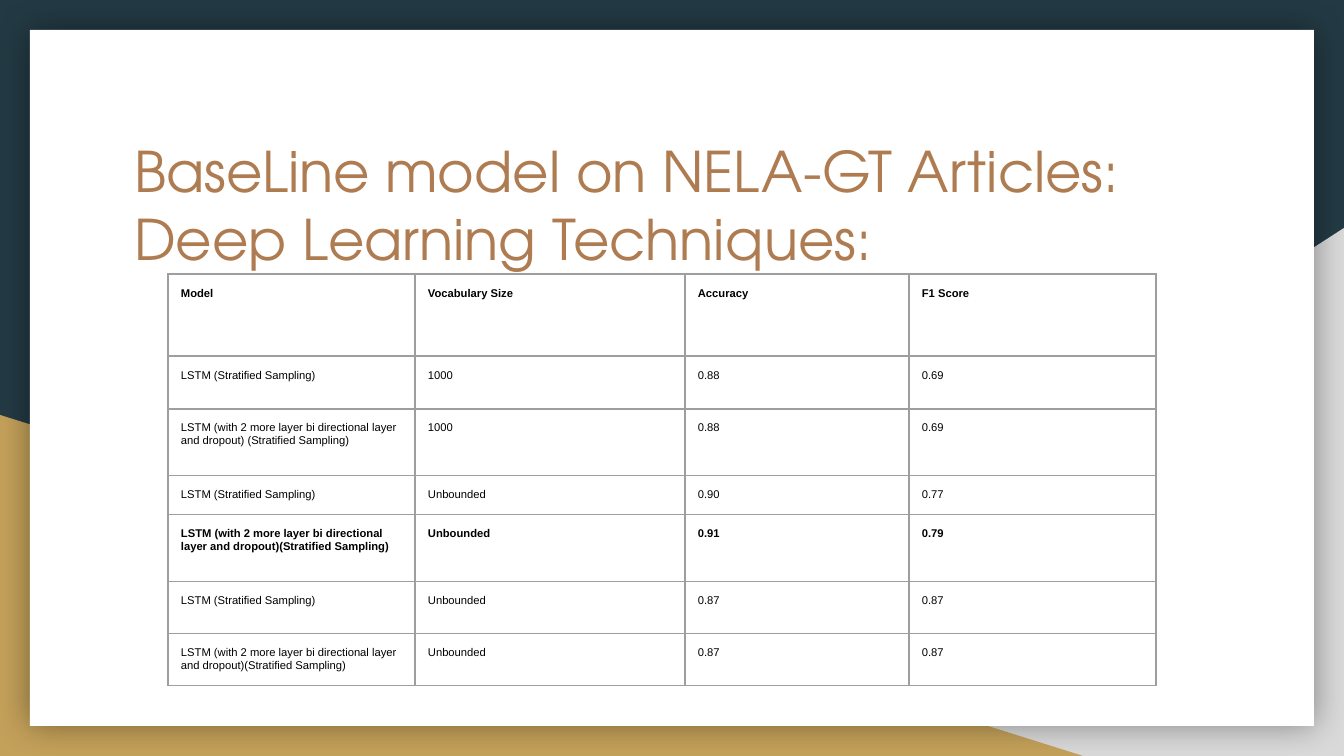
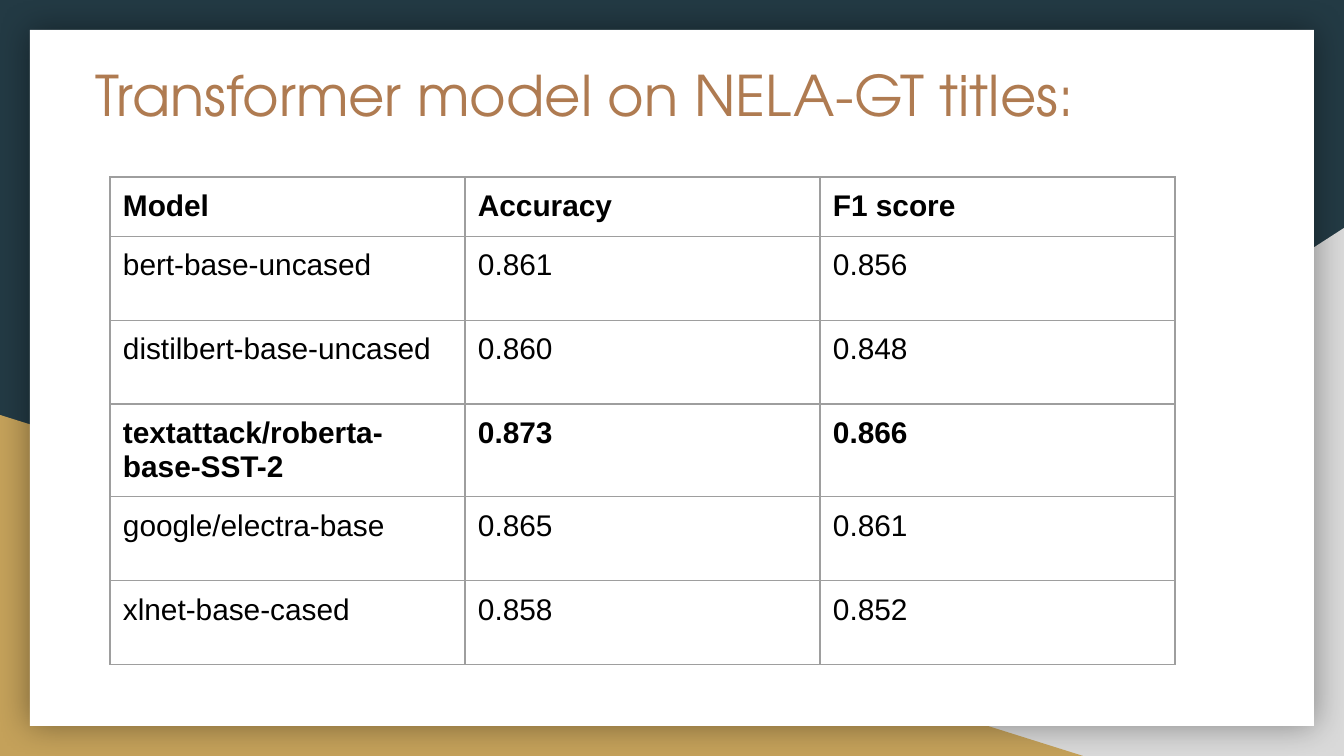
from lxml import etree
from pptx import Presentation
from pptx import util as u
from pptx.dml.color import RGBColor
from pptx.enum import shapes, text
from pptx.oxml import parse_xml
from pptx.oxml.ns import nsdecls, qn

PX = 9144000 / 1344
W, H = 1344, 756
MARGIN = 13
COLORS = {
    "navy": "233A44",
    "grey": "D9D9D9",
    "gold": "C4A15A",
    "paper": "FFFFFF",
    "title": "AF7B51",
    "ink": "000000",
    "border": "9E9E9E",
}
TITLE_FONT, BODY_FONT = "TeX Gyre Adventor", "Arial"

LSTM = "LSTM (Stratified Sampling)"
BI_LSTM = "LSTM (with 2 more layer bi directional layer and dropout)(Stratified Sampling)"
BASELINE_ROWS = [
    ("Model", "Vocabulary Size", "Accuracy", "F1 Score"),
    (LSTM, "1000", "0.88", "0.69"),
    (BI_LSTM.replace(")(", ") ("), "1000", "0.88", "0.69"),
    (LSTM, "Unbounded", "0.90", "0.77"),
    (BI_LSTM, "Unbounded", "0.91", "0.79"),
    (LSTM, "Unbounded", "0.87", "0.87"),
    (BI_LSTM, "Unbounded", "0.87", "0.87"),
]
TRANSFORMER_ROWS = [
    ("Model", "Accuracy", "F1 score"),
    ("bert-base-uncased", "0.861", "0.856"),
    ("distilbert-base-uncased", "0.860", "0.848"),
    ("textattack/roberta-base-SST-2", "0.873", "0.866"),
    ("google/electra-base", "0.865", "0.861"),
    ("xlnet-base-cased", "0.858", "0.852"),
]


def px(n):
    return u.Emu(round(n * PX))


def rgb(name):
    return RGBColor.from_string(COLORS[name])


def set_font(p, face, size, color, bold=False):
    p.font.name = face
    p.font.size = u.Pt(size)
    p.font.bold = bold
    p.font.color.rgb = rgb(color)


def add_panel(s, kind, box, color):
    sp = s.shapes.add_shape(kind, *map(px, box))
    sp.shadow.inherit = False
    sp.fill.solid()
    sp.fill.fore_color.rgb = rgb(color)
    sp.line.fill.background()
    return sp


def add_glow(sp, blur, opacity):
    effects = sp.element.spPr.find(qn("a:effectLst"))
    shadow = etree.SubElement(effects, qn("a:outerShdw"), blurRad=str(u.Pt(blur)),
                              dist="0", dir="0", algn="ctr", rotWithShape="0")
    color = etree.SubElement(shadow, qn("a:srgbClr"), val=COLORS["ink"])
    etree.SubElement(color, qn("a:alpha"), val=str(opacity * 1000))


def dress_layout(layout, s):
    """Build the backdrop on slide s, then move it to the layout so all slides share it."""
    for ph in list(layout.placeholders):
        if ph.placeholder_format.type != shapes.PP_PLACEHOLDER.TITLE:
            ph.element.getparent().remove(ph.element)
    layout.background.fill.solid()
    layout.background.fill.fore_color.rgb = rgb("navy")

    triangle = shapes.MSO_SHAPE.RIGHT_TRIANGLE
    right = add_panel(s, triangle, (527, 228, W - 527, H - 228), "grey")
    right.element.spPr.xfrm.set("flipH", "1")
    left = add_panel(s, triangle, (0, 415, 1083, H - 415), "gold")
    paper = add_panel(s, shapes.MSO_SHAPE.RECTANGLE, (30, 30, W - 60, H - 60), "paper")
    add_glow(paper, 18, 40)
    for i, sp in enumerate((right, left, paper)):
        sp.element.nvSpPr.cNvPr.set("id", str(100 + i))
        layout.shapes.element.insert(2 + i, sp.element)


def set_title(s, lines, box):
    sp = s.shapes.title
    sp.left, sp.top, sp.width, sp.height = map(px, box)
    tf = sp.text_frame
    tf.text = "\n".join(lines)
    tf.word_wrap = True
    tf.auto_size = text.MSO_AUTO_SIZE.NONE
    tf.vertical_anchor = text.MSO_ANCHOR.TOP
    tf.margin_left = tf.margin_right = tf.margin_top = tf.margin_bottom = px(MARGIN)
    for p in tf.paragraphs:
        p.alignment = text.PP_ALIGN.LEFT
        set_font(p, TITLE_FONT, 30, "title")


def set_borders(cell):
    tc_pr = cell._tc.get_or_add_tcPr()
    for i, side in enumerate("LRTB"):
        tc_pr.insert(i, parse_xml(
            f'<a:ln{side} {nsdecls("a")} w="{u.Pt(0.75)}"><a:solidFill>'
            f'<a:srgbClr val="{COLORS["border"]}"/></a:solidFill></a:ln{side}>'))


def add_grid(s, rows, at, widths, heights, size, best):
    """Add a bordered table whose header and best row are bold."""
    box = (*at, sum(widths), sum(heights))
    table = s.shapes.add_table(len(rows), len(widths), *map(px, box)).table
    table.first_row = table.horz_banding = False
    for col, width in zip(table.columns, widths):
        col.width = px(width)
    for r, (values, height) in enumerate(zip(rows, heights)):
        table.rows[r].height = px(height)
        for c, value in enumerate(values):
            cell = table.cell(r, c)
            cell.text = value
            cell.margin_left = cell.margin_right = px(MARGIN)
            cell.margin_top = cell.margin_bottom = px(MARGIN)
            cell.fill.background()
            set_borders(cell)
            set_font(cell.text_frame.paragraphs[0], BODY_FONT, size, "ink", r in (0, best))


def main():
    prs = Presentation()
    prs.slide_width, prs.slide_height = px(W), px(H)
    layout = prs.slide_layouts[5]

    s = prs.slides.add_slide(layout)
    dress_layout(layout, s)
    set_title(s, ["BaseLine model on NELA-GT Articles:", "Deep Learning Techniques:"],
              (121, 124, 1103, 140))
    add_grid(s, BASELINE_ROWS, (168, 274), (247, 270, 224, 247),
             (82, 53, 67, 36, 67, 52, 52), size=6, best=4)

    s = prs.slides.add_slide(layout)
    set_title(s, ["Transformer model on NELA-GT titles:"], (82, 48, 1220, 161))
    add_grid(s, TRANSFORMER_ROWS, (110, 177), [355] * 3, [54] + [84] * 5, size=16, best=3)

    prs.save("out.pptx")


if __name__ == "__main__":
    main()
